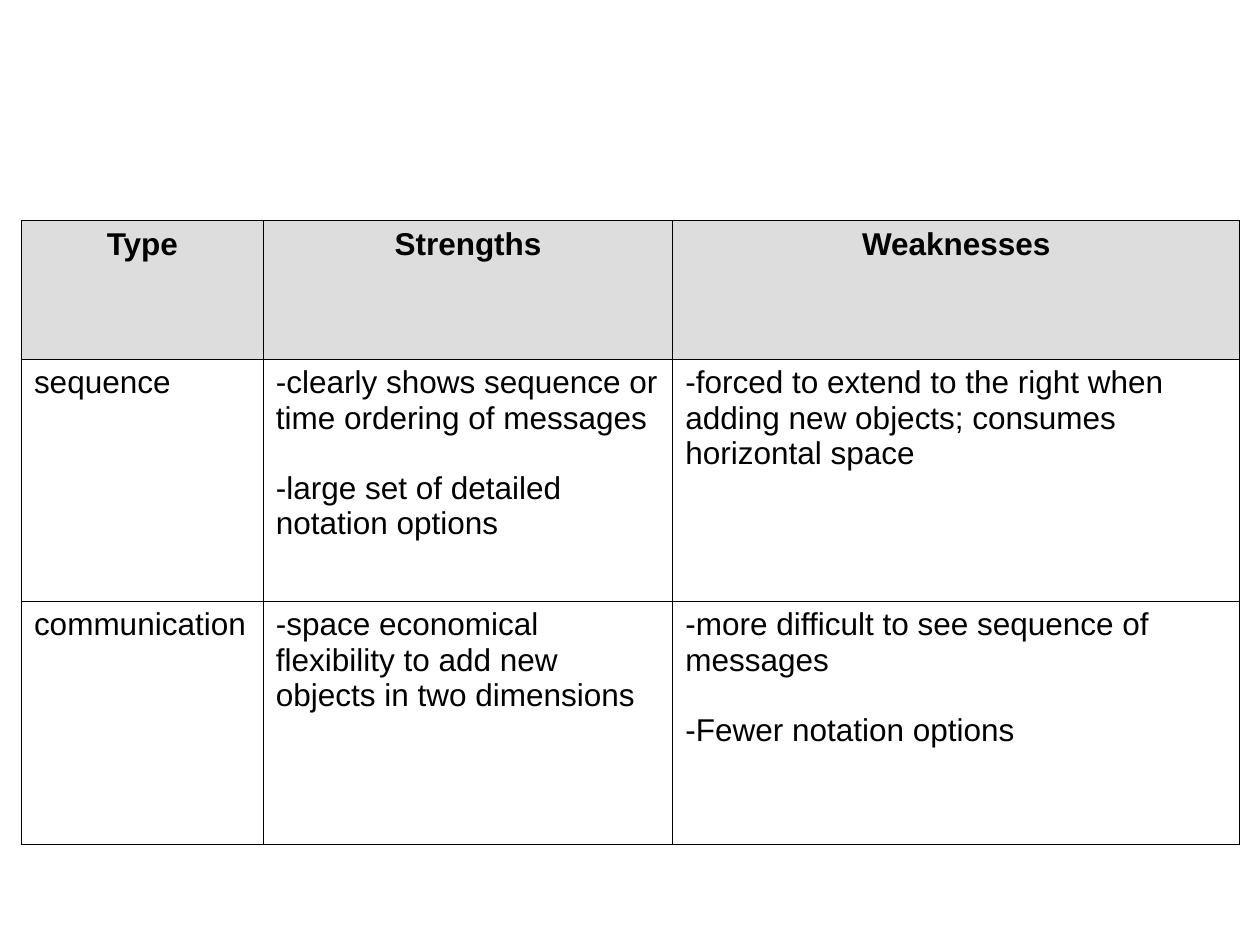
from lxml import etree
from pptx import Presentation
from pptx.dml.color import RGBColor
from pptx.enum.text import PP_ALIGN
from pptx.oxml.ns import qn
from pptx.util import Inches, Pt

LEFT, CENTER = PP_ALIGN.LEFT, PP_ALIGN.CENTER

COLUMN_WIDTHS = [1.92, 3.25, 4.5]
ROW_HEIGHTS = [1.1, 1.92, 1.93]

# Each cell is a list of paragraphs
ROWS = [
    [["Type"], ["Strengths"], ["Weaknesses"]],
    [
        ["sequence"],
        ["-clearly shows sequence or time ordering of messages",
         "-large set of detailed notation options"],
        ["-forced to extend to the right when adding new objects; "
         "consumes horizontal space"],
    ],
    [
        ["communication"],
        ["-space economical flexibility to add new objects in two dimensions"],
        ["-more difficult to see sequence of messages",
         "-Fewer notation options"],
    ],
]


def color(hex_string):
    return RGBColor.from_string(hex_string)


def write_text(text_frame, paragraphs, font="Arial", size=18, ink="000000",
               bold=False, align=LEFT, gap=20):
    for index, text in enumerate(paragraphs):
        paragraph = text_frame.add_paragraph() if index else text_frame.paragraphs[0]
        paragraph.alignment = align
        paragraph.space_before = Pt(gap if index else 0)
        run = paragraph.add_run()
        run.text = text
        run.font.name = font
        run.font.size = Pt(size)
        run.font.bold = bold
        run.font.color.rgb = color(ink)


class SlideBuilder:
    header_fill = "DDDDDD"
    border_color = "000000"
    border_width = 0.45

    def __init__(self, slide):
        self.slide = slide

    def add_borders(self, cell):
        properties = cell._tc.get_or_add_tcPr()
        for side in ("a:lnL", "a:lnR", "a:lnT", "a:lnB"):
            line = etree.SubElement(properties, qn(side), w=str(Pt(self.border_width)))
            fill = etree.SubElement(line, qn("a:solidFill"))
            etree.SubElement(fill, qn("a:srgbClr"), val=self.border_color)

    def add_table(self, left, top, column_widths, row_heights, rows):
        frame = self.slide.shapes.add_table(
            len(rows), len(column_widths), Inches(left), Inches(top),
            Inches(sum(column_widths)), Inches(sum(row_heights)))
        table = frame.table
        table.horz_banding = False
        for column, width in zip(table.columns, column_widths):
            column.width = Inches(width)
        for row, height in zip(table.rows, row_heights):
            row.height = Inches(height)

        for row_index, row in enumerate(rows):
            is_header = row_index == 0
            for column_index, paragraphs in enumerate(row):
                cell = table.cell(row_index, column_index)
                self.add_borders(cell)
                if is_header:
                    cell.fill.solid()
                    cell.fill.fore_color.rgb = color(self.header_fill)
                else:
                    cell.fill.background()
                write_text(cell.text_frame, paragraphs, bold=is_header,
                           align=CENTER if is_header else LEFT)


def main():
    presentation = Presentation()
    presentation.slide_width = Inches(10)
    presentation.slide_height = Inches(7.5)
    slide = presentation.slides.add_slide(presentation.slide_layouts[6])

    # Comparison of diagram types
    builder = SlideBuilder(slide)
    builder.add_table(0.17, 1.75, COLUMN_WIDTHS, ROW_HEIGHTS, ROWS)

    presentation.save("out.pptx")


if __name__ == "__main__":
    main()
